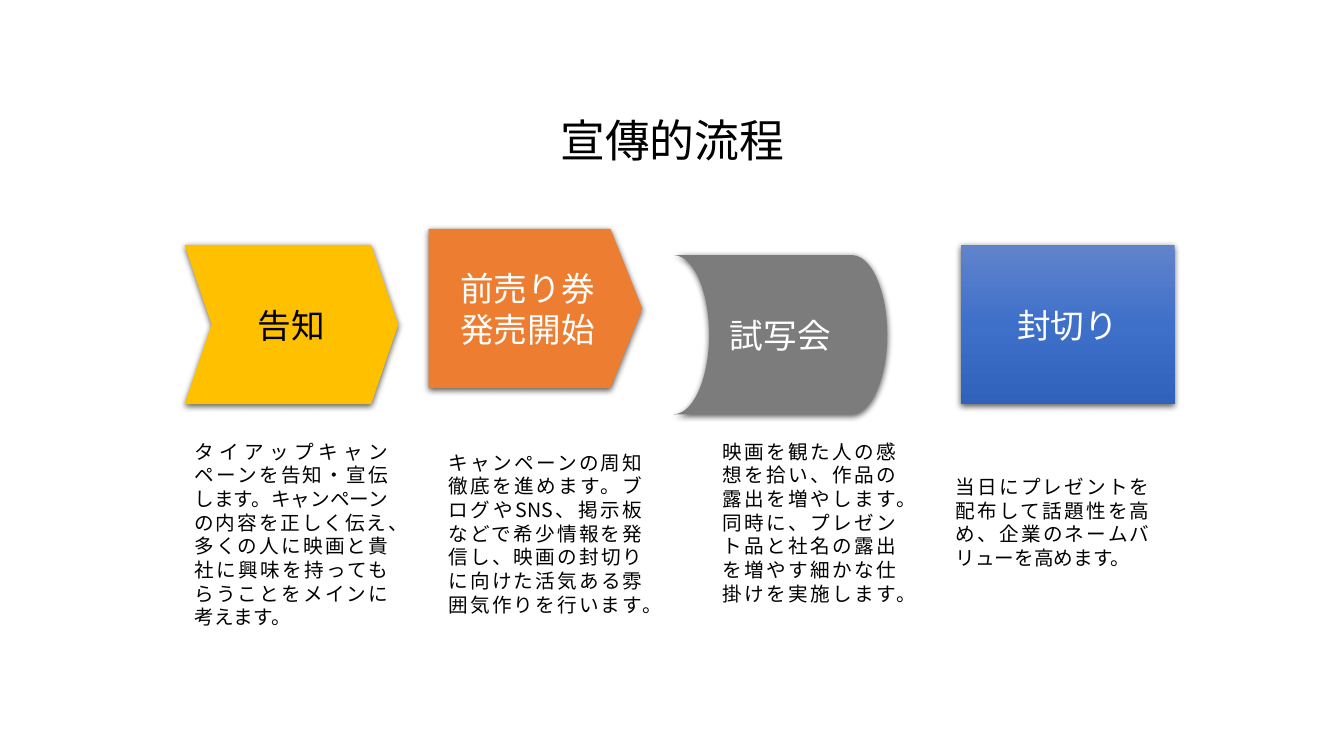
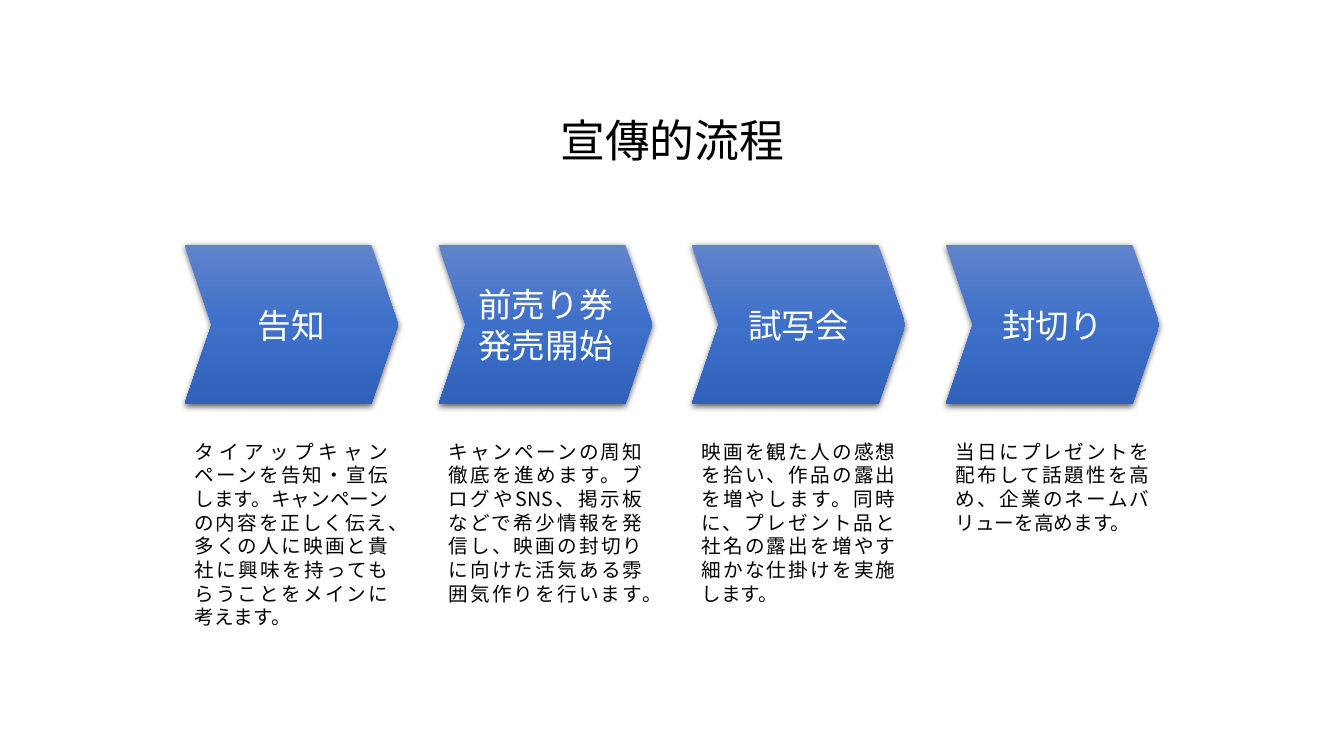
import pptx
import pptx.util
import pptx.dml.color
import pptx.enum.text
import pptx.enum.shapes
import pptx.enum.lang
import pptx.oxml.ns
from lxml import etree
from dataclasses import dataclass

Inches = pptx.util.Inches
Pt = pptx.util.Pt
Align = pptx.enum.text.PP_ALIGN
Anchor = pptx.enum.text.MSO_ANCHOR
Kind = pptx.enum.shapes.MSO_SHAPE
qn = pptx.oxml.ns.qn


@dataclass(frozen=True)
class Theme:
    face: str = "Noto Sans CJK JP"
    black: str = "000000"
    white: str = "FFFFFF"
    gold: str = "FFC000"
    orange: str = "ED7D31"
    gray: str = "7C7C7C"
    blue: tuple = ("6183CB", "3E70CA", "3062BB")
    head: int = 32
    label: int = 24
    body: int = 14
    lead: float = 1.21


THEME = Theme()
TITLE = "宣傳的流程"
STEPS = [
    ("告知", "タイアップキャンペーンを告知・宣伝します。キャンペーンの内容を正しく伝え、多くの人に映画と貴社に興味を持ってもらうことをメインに考えます。", 1.99),
    ("前売り券\n発売開始", "キャンペーンの周知徹底を進めます。ブログやSNS、掲示板などで希少情報を発信し、映画の封切りに向けた活気ある雰囲気作りを行います。", 1.75),
    ("試写会", "映画を観た人の感想を拾い、作品の露出を増やします。同時に、プレゼント品と社名の露出を増やす細かな仕掛けを実施します。", 1.75),
    ("封切り", "当日にプレゼントを配布して話題性を高め、企業のネームバリューを高めます。", 1.04),
]
LEFT, LAST = 1.83, 9.38
WIDE, HIGH = 2.12, 1.58
TOP, NOTE = 2.43, 4.31
STEP = (LAST - LEFT) / (len(STEPS) - 1)

MIXED = [
    dict(fill=THEME.gold, ink=THEME.black),
    dict(kind=Kind.PENTAGON, adj=0.2, fill=THEME.orange, x=4.25, y=2.27, note_y=4.42),
    dict(kind=Kind.FLOWCHART_STORED_DATA, adj=None, fill=THEME.gray, flip=True,
         x=6.68, y=2.53, note_x=7.07, note_w=1.92),
    dict(kind=Kind.RECTANGLE, adj=None, x=9.53, note_y=4.66),
]
EVEN = [{} for _ in STEPS]


def rgb(code):
    return pptx.dml.color.RGBColor.from_string(code)


def write(shape, text, size=THEME.body, color=THEME.black, align=Align.CENTER,
          anchor=Anchor.TOP, side=0.1):
    frame = shape.text_frame
    frame.word_wrap = True
    frame.auto_size = pptx.enum.text.MSO_AUTO_SIZE.NONE
    frame.vertical_anchor = anchor
    frame.margin_left = frame.margin_right = Inches(side)
    frame.margin_top = frame.margin_bottom = Inches(0.05)
    para = frame.paragraphs[0]
    para.text = text
    para.alignment = align
    para.space_before = Pt(0)
    para.line_spacing = Pt(round(size * THEME.lead, 1))
    for run in para.runs:
        font = run.font
        font.size = Pt(size)
        font.name = THEME.face
        font.color.rgb = rgb(color)
        font.language_id = pptx.enum.lang.MSO_LANGUAGE_ID.JAPANESE
        props = run._r.get_or_add_rPr()
        etree.SubElement(props, qn("a:ea"), typeface=THEME.face)


def blend(shape, codes):
    shape.fill.gradient()
    shape.fill.gradient_angle = 270
    stops = shape._element.spPr.find(qn("a:gradFill")).find(qn("a:gsLst"))
    for stop in list(stops):
        stops.remove(stop)
    for i, code in enumerate(codes):
        pos = 100000 * i // (len(codes) - 1)
        stop = etree.SubElement(stops, qn("a:gs"), pos=str(pos))
        etree.SubElement(stop, qn("a:srgbClr"), val=code)


def shade(shape):
    shape.shadow.inherit = False
    effect = shape._element.spPr.find(qn("a:effectLst"))
    cast = etree.SubElement(effect, qn("a:outerShdw"), blurRad=str(Pt(4.5)),
                            dist=str(Pt(1.5)), dir="5400000", algn="ctr", rotWithShape="0")
    color = etree.SubElement(cast, qn("a:srgbClr"), val=THEME.black)
    etree.SubElement(color, qn("a:alpha"), val="63000")


def block(slide, label, x, y, kind=Kind.CHEVRON, adj=0.17, fill=THEME.blue,
          ink=THEME.white, flip=False):
    shape = slide.shapes.add_shape(kind, Inches(x), Inches(y), Inches(WIDE), Inches(HIGH))
    if adj is not None:
        shape.adjustments[0] = adj
    if isinstance(fill, tuple):
        blend(shape, fill)
    else:
        shape.fill.solid()
        shape.fill.fore_color.rgb = rgb(fill)
    shape.line.fill.background()
    shade(shape)
    if flip:
        shape._element.spPr.find(qn("a:xfrm")).set("flipH", "1")
    write(shape, label, size=THEME.label, color=ink, anchor=Anchor.MIDDLE, side=0)


def build(deck, looks):
    slide = deck.slides.add_slide(deck.slide_layouts[5])
    title = slide.shapes.title
    title.left, title.top, title.width, title.height = map(Inches, (4, 1.06, 5.34, 0.64))
    write(title, TITLE, size=THEME.head)
    for i, ((label, text, tall), look) in enumerate(zip(STEPS, looks)):
        look = dict(look)
        x = round(LEFT + i * STEP, 2)
        note_x = look.pop("note_x", x)
        note_y = look.pop("note_y", NOTE)
        note_w = look.pop("note_w", WIDE)
        block(slide, label, look.pop("x", x), look.pop("y", TOP), **look)
        note = slide.shapes.add_textbox(Inches(note_x), Inches(note_y),
                                        Inches(note_w), Inches(tall))
        write(note, text, align=Align.JUSTIFY)


def main():
    deck = pptx.Presentation()
    deck.slide_width, deck.slide_height = Inches(13.33), Inches(7.5)
    for looks in (MIXED, EVEN):
        build(deck, looks)
    deck.save("out.pptx")


if __name__ == "__main__":
    main()
